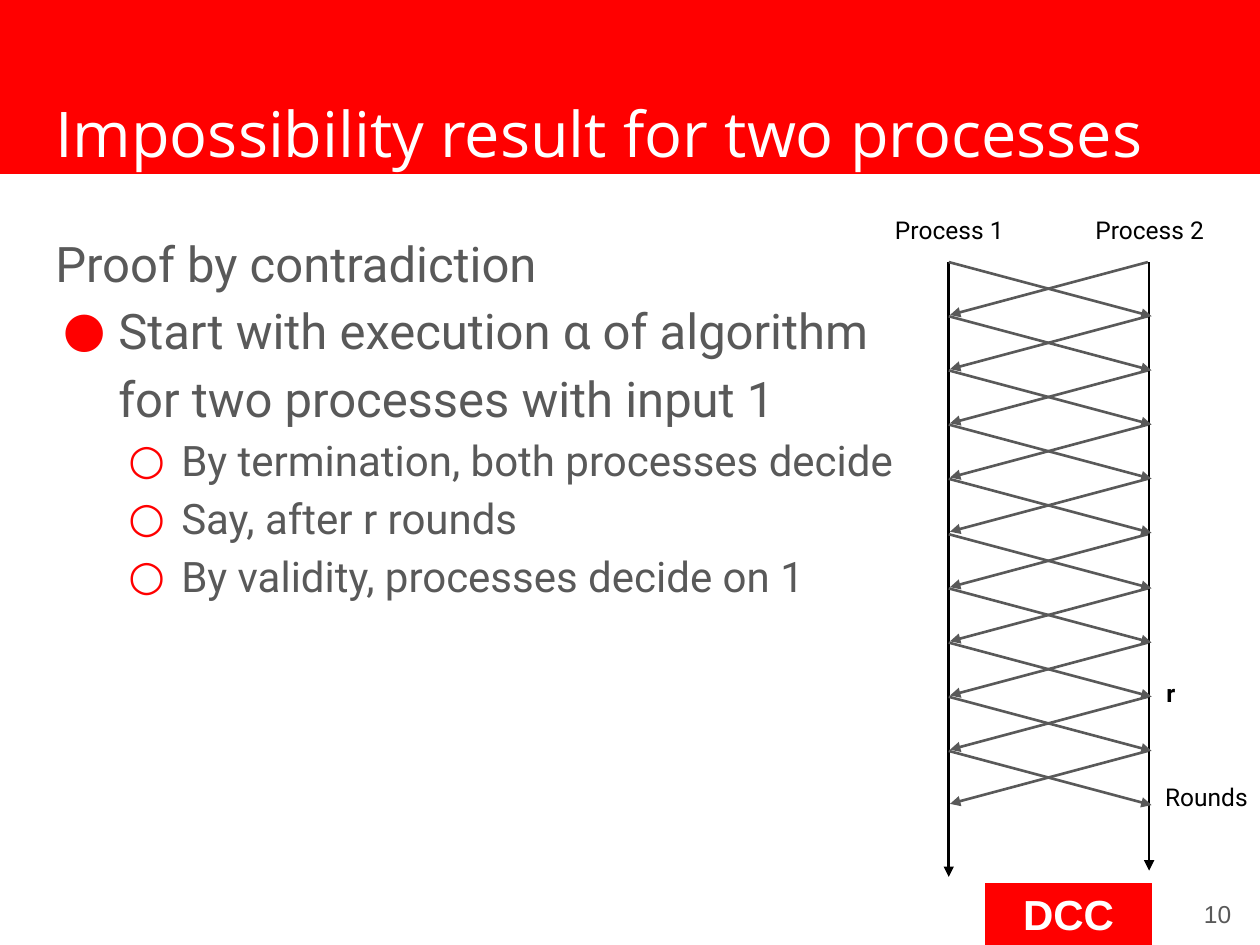
from lxml.etree import SubElement
from pptx import Presentation
from pptx.dml.color import RGBColor
from pptx.enum.shapes import MSO_CONNECTOR as Connector, MSO_SHAPE as Shape
from pptx.enum.text import MSO_ANCHOR as Anchor, PP_ALIGN as Align
from pptx.oxml.ns import qn
from pptx.util import Inches, Pt

RED, WHITE, BLACK, GRAY = "FF0000", "FFFFFF", "000000", "595959"


def color(value):
    return RGBColor.from_string(value)


def set_values(target, values):
    for name, value in values.items():
        setattr(target, name, value)


class SlideBuilder:
    """Holds the slide style and draws each kind of element."""

    margin = Inches(0.1)
    line_width = Pt(1.5)
    label_size = (1.17, 0.46)

    def __init__(self, slide):
        self.slide = slide

    def frame(self, shape, anchor=Anchor.TOP):
        text_frame = shape.text_frame
        set_values(text_frame, {
            "word_wrap": True, "vertical_anchor": anchor,
            "margin_left": self.margin, "margin_right": self.margin,
            "margin_top": self.margin, "margin_bottom": self.margin,
        })
        return text_frame

    def add_text(self, paragraph, text, size, font, fill, bold=False, **layout):
        run = paragraph.add_run()
        run.text = text
        set_values(run.font, {"size": Pt(size), "name": font, "bold": bold})
        run.font.color.rgb = color(fill)
        set_values(paragraph, layout)

    def bullet(self, paragraph, symbol, indent, hanging):
        properties = paragraph._p.get_or_add_pPr()
        properties.set("marL", str(Inches(indent)))
        properties.set("indent", str(-Inches(hanging)))
        bullet_color = SubElement(properties, qn("a:buClr"))
        SubElement(bullet_color, qn("a:srgbClr"), val=RED)
        SubElement(properties, qn("a:buFont"), typeface="Roboto")
        SubElement(properties, qn("a:buChar"), char=symbol)

    def block(self, left, top, width, height):
        shape = self.slide.shapes.add_shape(
            Shape.RECTANGLE, Inches(left), Inches(top), Inches(width), Inches(height))
        shape.shadow.inherit = False
        shape.fill.solid()
        shape.fill.fore_color.rgb = color(RED)
        shape.line.color.rgb = color(RED)
        shape.line.width = Pt(0.75)
        return shape

    def text_box(self, left, top, width, height, anchor=Anchor.TOP):
        box = self.slide.shapes.add_textbox(
            Inches(left), Inches(top), Inches(width), Inches(height))
        return self.frame(box, anchor)

    def label(self, left, top, text, alignment=Align.CENTER, bold=False):
        text_frame = self.text_box(left, top, *self.label_size)
        self.add_text(text_frame.paragraphs[0], text, 14, "Roboto", BLACK, bold,
                      alignment=alignment)

    def arrow(self, x1, y1, x2, y2, fill):
        connector = self.slide.shapes.add_connector(
            Connector.STRAIGHT, Inches(x1), Inches(y1), Inches(x2), Inches(y2))
        connector.line.color.rgb = color(fill)
        connector.line.width = self.line_width
        properties = connector._element.spPr
        SubElement(properties.find(qn("a:ln")), qn("a:tailEnd"), type="triangle")
        SubElement(properties, qn("a:effectLst"))


def main():
    presentation = Presentation()
    presentation.slide_width, presentation.slide_height = Inches(10), Inches(7.5)
    builder = SlideBuilder(presentation.slides.add_slide(presentation.slide_layouts[6]))

    # Header band and footer badge
    builder.block(0, 0, 10, 1.38)
    badge = builder.frame(builder.block(7.82, 7.01, 1.32, 0.49), Anchor.MIDDLE)
    builder.add_text(badge.paragraphs[0], "DCC", 24, "Arial", WHITE, True,
                     alignment=Align.CENTER)

    # Title
    title = builder.text_box(0.34, 0.65, 9.32, 0.83)
    builder.add_text(title.paragraphs[0], "Impossibility result for two processes",
                     36, "Open Sans", WHITE)

    # Proof outline: each level has a text size and a bullet
    levels = [(28, None), (28, ("●", 0.5, 0.44)), (24, ("○", 1, 0.42))]
    outline = [
        (0, "Proof by contradiction"),
        (1, "Start with execution α of algorithm for two processes with input 1"),
        (2, "By termination, both processes decide"),
        (2, "Say, after r rounds"),
        (2, "By validity, processes decide on 1"),
    ]
    body = builder.text_box(0.34, 1.68, 6.99, 4.98)
    for index, (level, text) in enumerate(outline):
        paragraph = body.add_paragraph() if index else body.paragraphs[0]
        size, bullet = levels[level]
        builder.add_text(paragraph, text, size, "Roboto", GRAY,
                         line_spacing=1.15, level=max(level - 1, 0))
        if bullet:
            builder.bullet(paragraph, *bullet)

    # Page number
    page = builder.text_box(9.27, 6.97, 0.6, 0.57, Anchor.MIDDLE)
    builder.add_text(page.paragraphs[0], "10", 14, "Arial", GRAY, alignment=Align.RIGHT)

    # Process timelines
    first_x, second_x, start_y = 7.53, 9.12, 2.08
    for x, end_y in ((first_x, 6.96), (second_x, 6.91)):
        builder.arrow(x, start_y, x, end_y, BLACK)

    # Message exchange: two groups of five rounds
    round_height, group_height = 0.43, 2.16
    for group in range(2):
        for step in range(5):
            y = start_y + group * group_height + step * round_height
            builder.arrow(first_x, y, second_x + 0.02, y + round_height, GRAY)
            builder.arrow(second_x - 0.01, y, first_x + 0.01, y + 0.42, GRAY)

    # Diagram labels
    builder.label(6.95, 1.61, "Process 1")
    builder.label(8.54, 1.61, "Process 2")
    builder.label(8.99, 6.11, "Rounds")
    builder.label(9.16, 5.28, "r", Align.LEFT, True)

    presentation.save("out.pptx")


if __name__ == "__main__":
    main()
